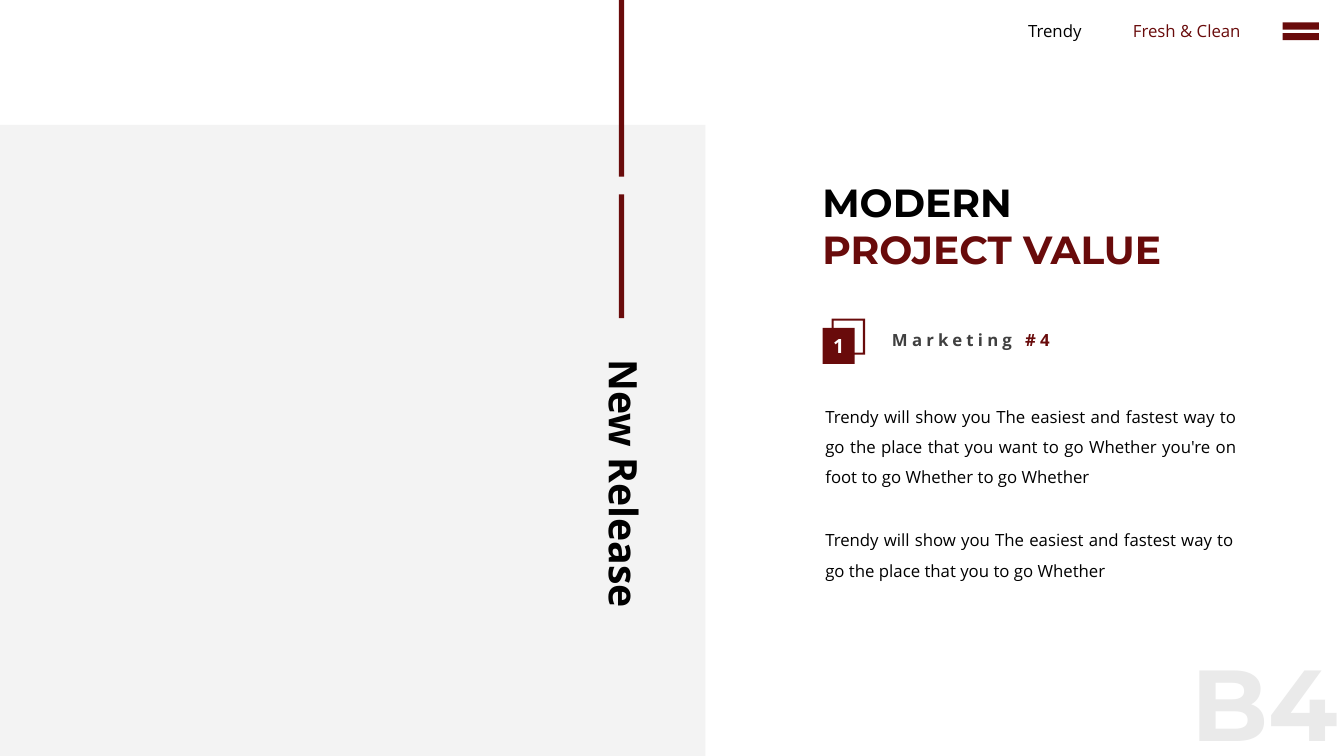
from pptx import Presentation
from pptx.dml.color import RGBColor
from pptx.enum.shapes import MSO_SHAPE
from pptx.enum.text import MSO_ANCHOR, MSO_AUTO_SIZE, PP_ALIGN
from pptx.oxml.ns import qn
from pptx.util import Cm, Pt
from lxml import etree

MAROON = RGBColor(0x69, 0x0B, 0x0B)
BLACK = RGBColor(0, 0, 0)
WHITE = RGBColor(0xFF, 0xFF, 0xFF)
DARK = RGBColor(0x40, 0x40, 0x40)
PANEL = RGBColor(0xF2, 0xF2, 0xF2)
PALE = RGBColor(0xEA, 0xEA, 0xEA)
RECT, FRAME, EQUAL = MSO_SHAPE.RECTANGLE, MSO_SHAPE.FRAME, MSO_SHAPE.MATH_EQUAL
LEFT, CENTER, RIGHT, JUSTIFY = (
    PP_ALIGN.LEFT, PP_ALIGN.CENTER, PP_ALIGN.RIGHT, PP_ALIGN.JUSTIFY)
TOP, MIDDLE = MSO_ANCHOR.TOP, MSO_ANCHOR.MIDDLE
NO_FIT = MSO_AUTO_SIZE.NONE
HEAD_FONT, BODY_FONT = "Montserrat", "Open Sans"


def write(tf, *runs, size=12, font=BODY_FONT, bold=False, align=LEFT,
          anchor=TOP, line=1.0, tracking=0, wrap=True, inset=None):
    tf.word_wrap = wrap
    tf.auto_size = NO_FIT
    tf.vertical_anchor = anchor
    if inset is not None:
        tf.margin_left = tf.margin_right = Cm(inset)
        tf.margin_top = tf.margin_bottom = Cm(inset)
    p = tf.paragraphs[0]
    p.alignment = align
    p.line_spacing = line
    for text, color in runs:
        r = p.add_run()
        r.text = text
        r.font.name = font
        r.font.size = Pt(size)
        r.font.bold = bold
        r.font.color.rgb = color
        if tracking:
            r.font._element.set("spc", str(tracking * 100))


class Page:
    def __init__(self, prs):
        self.s = prs.slides.add_slide(prs.slide_layouts[5])

    def shape(self, kind, x, y, w, h, color=MAROON, alpha=None):
        sp = self.s.shapes.add_shape(kind, Cm(x), Cm(y), Cm(w), Cm(h))
        sp.shadow.inherit = False
        sp.fill.solid()
        sp.fill.fore_color.rgb = color
        sp.line.fill.background()
        if alpha:
            clr = sp.fill._xPr.find(".//" + qn("a:srgbClr"))
            etree.SubElement(clr, qn("a:alpha")).set("val", str(alpha * 1000))
        return sp

    def text(self, x, y, w, h, *runs, rotation=0, **style):
        sp = self.s.shapes.add_textbox(Cm(x), Cm(y), Cm(w), Cm(h))
        sp.rotation = rotation
        write(sp.text_frame, *runs, **style)

    def title(self, x, y, w, h, *runs, **style):
        sp = self.s.shapes.title
        sp.left, sp.top, sp.width, sp.height = Cm(x), Cm(y), Cm(w), Cm(h)
        write(sp.text_frame, *runs, **style)


def main():
    prs = Presentation()
    prs.slide_width, prs.slide_height = Cm(33.87), Cm(19.05)
    page = Page(prs)

    page.shape(RECT, 0, 3.15, 17.78, 15.9, PANEL, alpha=90)
    page.text(30, 16.15, 3.73, 2.9, ("B4", PALE), size=72, font=HEAD_FONT,
              bold=True, align=RIGHT, inset=0)

    page.text(11.68, 12.14, 8.1, 1.45, ("New Release", BLACK),
              rotation=90, size=28, bold=True)
    for y, h in ((0, 4.45), (4.9, 3.12)):
        page.shape(RECT, 15.6, y, 0.13, h)

    for x, w, label, color in ((25.63, 1.91, "Trendy", BLACK),
                               (28.27, 3.28, "Fresh & Clean", MAROON)):
        page.text(x, 0.41, w, 0.76, (label, color), align=CENTER, wrap=False)
    page.shape(EQUAL, 32.16, 0.41, 1.24, 0.76)

    page.title(20.47, 4.37, 9.47, 2.64, ("MODERN ", BLACK),
               ("PROJECT VALUE", MAROON), size=28, font=HEAD_FONT, bold=True)

    frame = page.shape(FRAME, 20.96, 8.03, 0.84, 0.91)
    frame.adjustments[0] = 0.062
    number = page.shape(RECT, 20.73, 8.26, 0.81, 0.91)
    write(number.text_frame, ("1", WHITE), size=14, bold=True,
          align=CENTER, anchor=MIDDLE, inset=0)
    page.text(22.23, 8.18, 5.84, 0.76, ("Marketing ", DARK), ("#4", MAROON),
              bold=True, tracking=3)

    intro = "Trendy will show you The easiest and fastest way to go the place that you "
    for y, w, h, ending in (
            (9.86, 10.87, 2.49, "want to go Whether you're on foot to go Whether to go Whether "),
            (12.98, 10.8, 1.7, "to go Whether")):
        page.text(20.55, y, w, h, (intro + ending, BLACK), align=JUSTIFY, line=1.5)

    prs.save("out.pptx")


if __name__ == "__main__":
    main()
